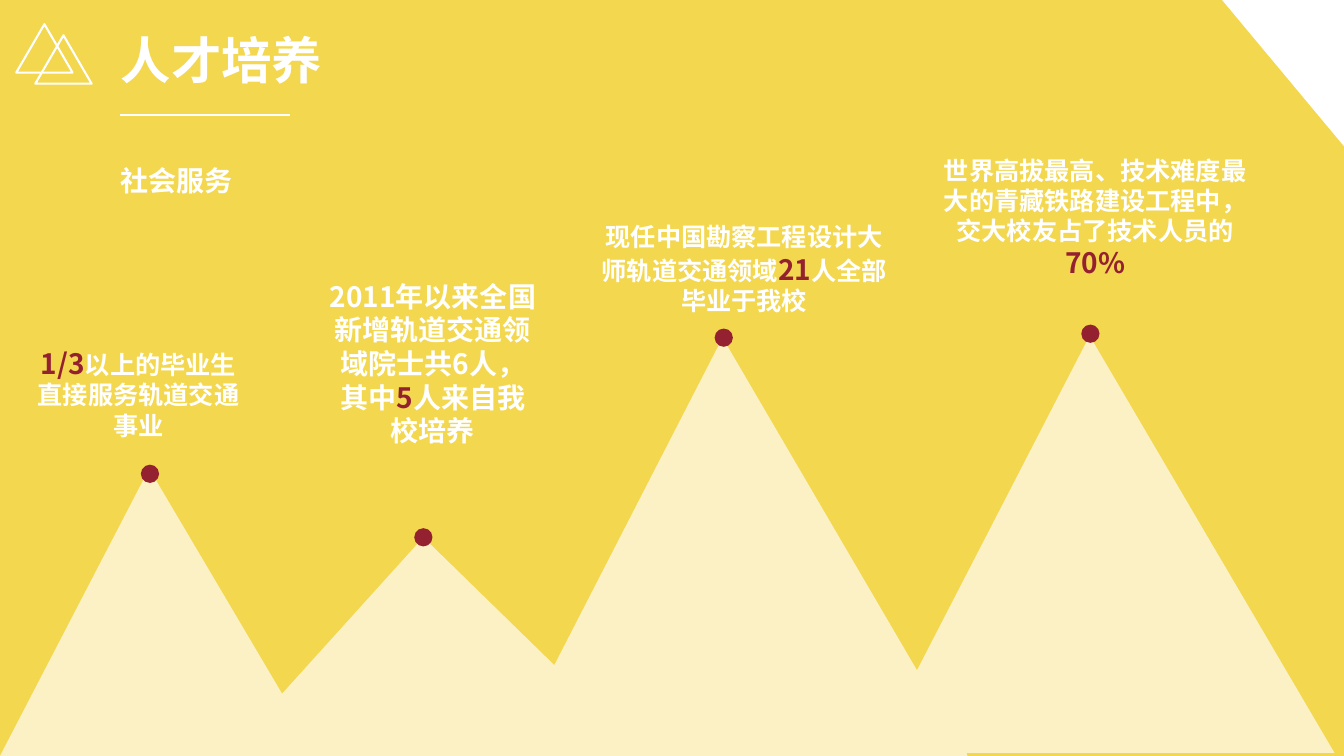
from typing import NamedTuple

from lxml import etree
from pptx import Presentation
from pptx.dml.color import RGBColor
from pptx.enum.shapes import MSO_CONNECTOR, MSO_SHAPE
from pptx.enum.text import MSO_ANCHOR, MSO_AUTO_SIZE, PP_ALIGN
from pptx.oxml.ns import qn
from pptx.util import Cm, Pt

TRIANGLE = MSO_SHAPE.ISOSCELES_TRIANGLE
OVAL = MSO_SHAPE.OVAL
STRAIGHT = MSO_CONNECTOR.STRAIGHT
TOP = MSO_ANCHOR.TOP
NO_FIT = MSO_AUTO_SIZE.NONE
LEFT, CENTER = PP_ALIGN.LEFT, PP_ALIGN.CENTER

YELLOW = RGBColor(0xF3, 0xD7, 0x4E)
WHITE = RGBColor(0xFF, 0xFF, 0xFF)
RED = RGBColor(0x94, 0x21, 0x2F)
FONT = "Noto Sans CJK JP"
FRAME = {"word_wrap": True, "auto_size": NO_FIT, "vertical_anchor": TOP,
         "margin_left": Cm(0.25), "margin_right": Cm(0.25),
         "margin_top": Cm(0.13), "margin_bottom": Cm(0.13)}
DOT_SIZE = 0.46
TITLE_LEFT = 2.79


class Box(NamedTuple):
    left: float
    top: float
    width: float
    height: float

    def lengths(self) -> list:
        return [Cm(v) for v in self]


class Run(NamedTuple):
    text: str
    size: int
    color: RGBColor = WHITE


class Peak(NamedTuple):
    dot_x: float
    dot_y: float
    caption: Box
    runs: list[Run]


PEAKS = [
    Peak(3.78, 11.94, Box(0.58, 8.59, 5.82, 2.64),
         [Run("1/3", 20, RED), Run("以上的毕业生直接服务轨道交通事业", 18)]),
    Peak(10.67, 13.54, Box(8, 6.91, 5.82, 4.52),
         [Run("2011年以来全国新增轨道交通领域院士共6人，其中", 20),
          Run("5", 20, RED), Run("人来自我校培养", 20)]),
    Peak(18.24, 8.51, Box(14.88, 5.46, 7.75, 2.64),
         [Run("现任中国勘察工程设计大师轨道交通领域", 18),
          Run("21", 20, RED), Run("人全部毕业于我校", 18)]),
    Peak(27.48, 8.41, Box(23.27, 3.78, 8.66, 3.43),
         [Run("世界高拔最高、技术难度最大的青藏铁路建设工程中，交大校友占了技术人员的", 18),
          Run("70%", 20, RED)]),
]
RIDGE = [(0, 19.05), (3.76, 11.81), (7.11, 17.48), (10.67, 13.54),
         (13.97, 16.76), (18.21, 8.51), (23.11, 16.89), (27.46, 8.46),
         (33.63, 18.97), (24.36, 18.97), (24.38, 19.05)]


def write(sp, runs: list[Run], align=LEFT) -> None:
    tf = sp.text_frame
    for name, value in FRAME.items():
        setattr(tf, name, value)
    p = tf.paragraphs[0]
    p.alignment = align
    for run in runs:
        r = p.add_run()
        r.text = run.text
        for name, value in {"name": FONT, "size": Pt(run.size), "bold": True}.items():
            setattr(r.font, name, value)
        r.font.color.rgb = run.color
        # East Asian glyphs take their font from a:ea
        etree.SubElement(r.font._element, qn("a:ea"), typeface=FONT)


def add_text(slide, box: Box, runs: list[Run], align=LEFT) -> None:
    write(slide.shapes.add_textbox(*box.lengths()), runs, align)


def paint(sp, fill=None, line_width: float = 0) -> None:
    """Set fill and white outline; None or 0 means none."""
    sp.shadow.inherit = False
    if fill is None:
        sp.fill.background()
    else:
        sp.fill.solid()
        sp.fill.fore_color.rgb = fill
    if line_width:
        sp.line.color.rgb = WHITE
        sp.line.width = Pt(line_width)
    else:
        sp.line.fill.background()


def add_shape(slide, kind, box: Box, fill=None, line_width: float = 0):
    sp = slide.shapes.add_shape(kind, *box.lengths())
    paint(sp, fill, line_width)
    return sp


def add_header(slide) -> None:
    title = slide.shapes.title
    title.left, title.top, title.width, title.height = Box(TITLE_LEFT, 0.61, 8.53, 1.8).lengths()
    write(title, [Run("人才培养", 36)])
    title.text_frame.paragraphs[0].line_spacing = 1.0
    for left, top in [(0.41, 0.61), (0.89, 0.89)]:
        add_shape(slide, TRIANGLE, Box(left, top, 1.42, 1.22), line_width=1.5)
    rule = slide.shapes.add_connector(STRAIGHT, Cm(3.02), Cm(2.9), Cm(7.32), Cm(2.9))
    rule.line.color.rgb = WHITE
    rule.line.width = Pt(1.5)
    etree.SubElement(rule._element.spPr, qn("a:effectLst"))
    add_text(slide, Box(TITLE_LEFT, 3.99, 21.89, 1.12), [Run("社会服务", 20)])


def add_corner(slide) -> None:
    corner = add_shape(slide, TRIANGLE, Box(29.97, -1.02, 3.96, 4.75), WHITE, 1)
    corner.adjustments[0] = 1
    corner._element.spPr.xfrm.set("flipV", "1")


def add_mountains(slide) -> None:
    points = [(round(x * 100), round(y * 100)) for x, y in RIDGE]
    builder = slide.shapes.build_freeform(*points[0], scale=Cm(0.01))
    builder.add_line_segments(points[1:], close=True)
    sp = builder.convert_to_shape()
    paint(sp, WHITE)
    color = sp._element.spPr.find(qn("a:solidFill")).find(qn("a:srgbClr"))
    etree.SubElement(color, qn("a:alpha"), val="67000")


def add_peak(slide, peak: Peak) -> None:
    dot = Box(peak.dot_x - DOT_SIZE / 2, peak.dot_y - DOT_SIZE / 2, DOT_SIZE, DOT_SIZE)
    add_shape(slide, OVAL, dot, RED)
    add_text(slide, peak.caption, peak.runs, CENTER)


def main() -> None:
    prs = Presentation()
    prs.slide_width, prs.slide_height = Cm(33.87), Cm(19.05)
    slide = prs.slides.add_slide(prs.slide_layouts.get_by_name("Title Only"))
    slide.background.fill.solid()
    slide.background.fill.fore_color.rgb = YELLOW
    add_header(slide)
    add_corner(slide)
    add_mountains(slide)
    for peak in PEAKS:
        add_peak(slide, peak)
    prs.save("out.pptx")


if __name__ == "__main__":
    main()
